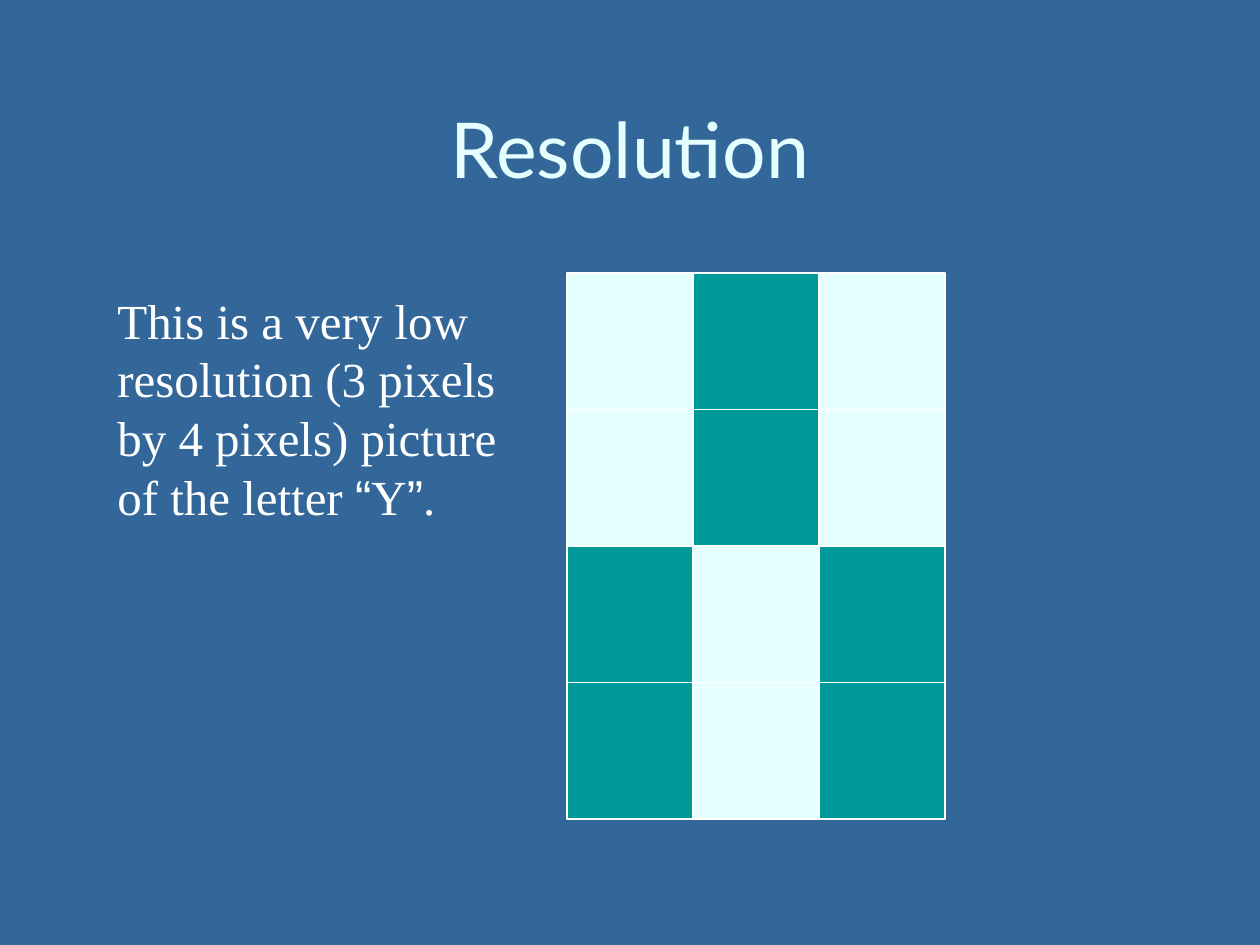
from pptx import Presentation, util as u
from pptx.dml.color import RGBColor
from pptx.enum import shapes, text

BLUE = RGBColor(0x33, 0x66, 0x99)
PALE = RGBColor(0xE5, 0xFF, 0xFF)
TEAL = RGBColor(0x00, 0x99, 0x99)
WHITE = RGBColor(0xFF, 0xFF, 0xFF)
SERIF, SANS, HEAD = "Times New Roman", "Arial", "Lato"
LETTER = (".#.", ".#.", "#.#", "#.#")


def px(n):
    """Turn slide px (126 to the inch) into EMU."""
    return u.Emu(round(n * 914400 / 126))


def add_run(para, words, color, **form):
    run = para.add_run()
    run.text = words
    for key, value in form.items():
        setattr(run.font, key, value)
    run.font.color.rgb = color


def title(slide, x, y, w, h):
    head = slide.shapes.title
    box = {"left": x, "top": y, "width": w, "height": h}
    for key, value in box.items():
        setattr(head, key, px(value))
    frame = head.text_frame
    frame.vertical_anchor = text.MSO_ANCHOR.MIDDLE
    para = frame.paragraphs[0]
    para.alignment = text.PP_ALIGN.CENTER
    add_run(para, "Resolution", PALE, name=HEAD, size=u.Pt(44))


def pixels(slide, x, y, w, h):
    """Draw the letter as a grid of outlined cells."""
    wide, high = w / len(LETTER[0]), h / len(LETTER)
    for r, row in enumerate(LETTER):
        for c, mark in enumerate(row):
            cell = slide.shapes.add_shape(
                shapes.MSO_SHAPE.RECTANGLE,
                px(x + c * wide), px(y + r * high), px(wide), px(high))
            cell.shadow.inherit = False
            cell.fill.solid()
            cell.fill.fore_color.rgb = TEAL if mark == "#" else PALE
            cell.line.color.rgb = WHITE
            cell.line.width = u.Pt(0.75)


def note(slide, x, y, w, h):
    frame = slide.shapes.add_textbox(px(x), px(y), px(w), px(h)).text_frame
    frame.word_wrap = True
    frame.auto_size = text.MSO_AUTO_SIZE.SHAPE_TO_FIT_TEXT
    para = frame.paragraphs[0]
    para.line_spacing = u.Pt(33.6)
    parts = (
        ("This is a very low resolution (3 pixels by 4 pixels) "
         "picture of the letter ", SERIF),
        ("“", SANS), ("Y", SERIF), ("”", SANS), (".", SERIF))
    for words, font in parts:
        add_run(para, words, WHITE, name=font, size=u.Pt(28))


def main():
    deck = Presentation()
    deck.slide_width, deck.slide_height = px(1260), px(945)
    slide = deck.slides.add_slide(deck.slide_layouts[5])
    slide.background.fill.solid()
    slide.background.fill.fore_color.rgb = BLUE
    title(slide, 63, 53, 1134, 189)
    pixels(slide, 567, 273, 378, 546)
    note(slide, 105, 284, 420, 248)
    deck.save("out.pptx")


if __name__ == "__main__":
    main()
